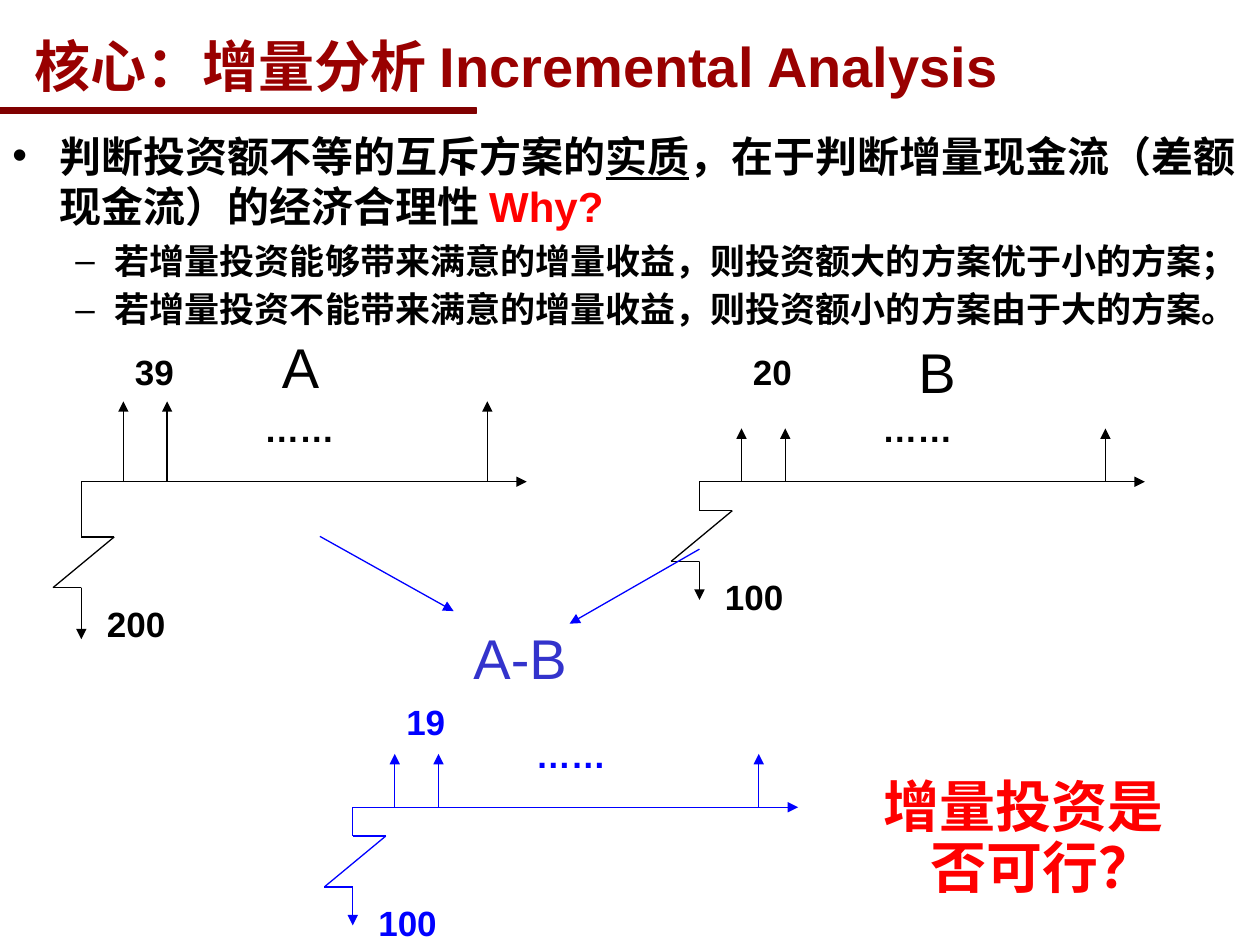
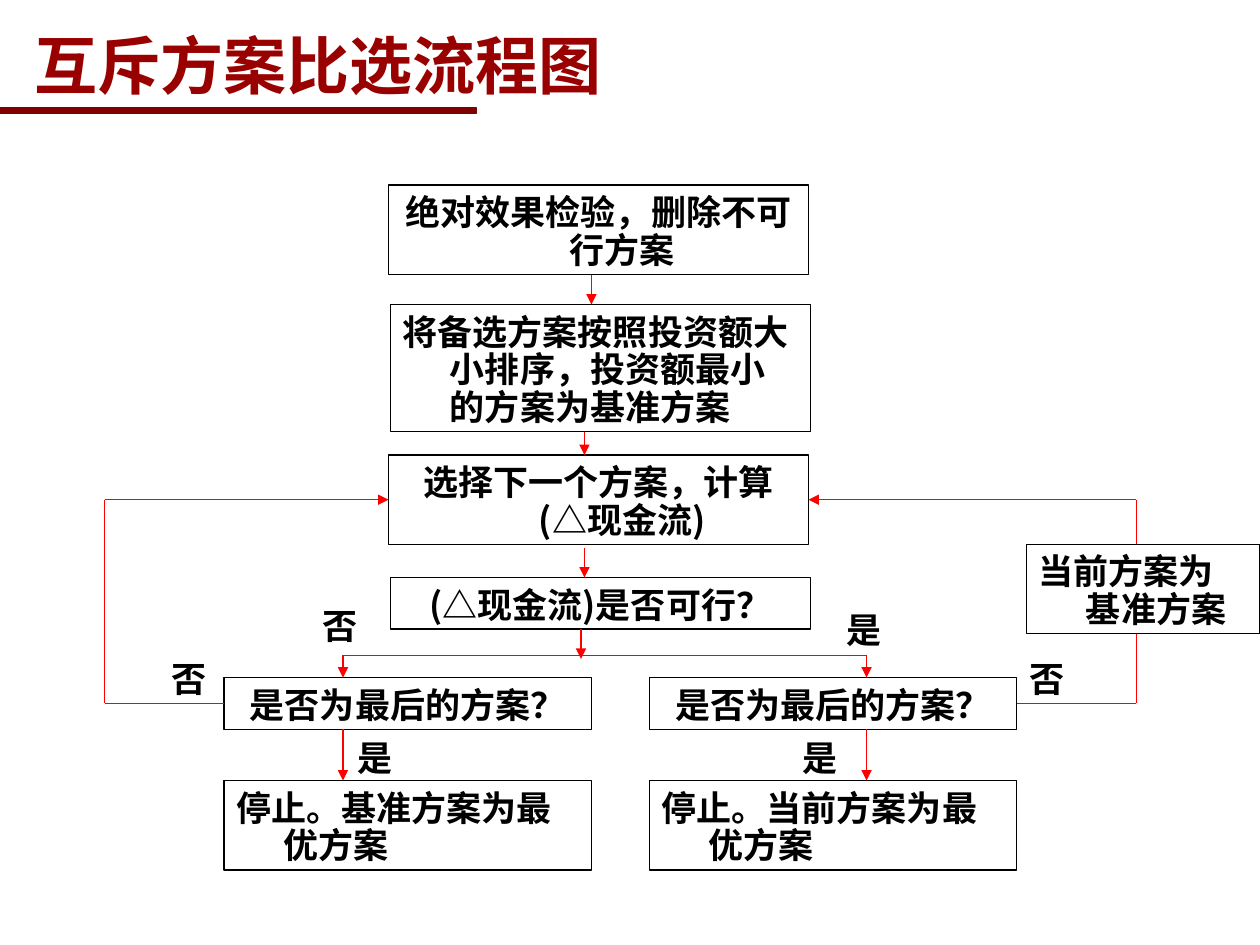
from lxml import etree
from pptx import Presentation
from pptx.dml.color import RGBColor
from pptx.enum.shapes import MSO_CONNECTOR, MSO_SHAPE
from pptx.enum.text import MSO_ANCHOR, PP_ALIGN
from pptx.oxml.ns import qn
from pptx.util import Pt

STRAIGHT = MSO_CONNECTOR.STRAIGHT
RECTANGLE = MSO_SHAPE.RECTANGLE
TOP, MIDDLE = MSO_ANCHOR.TOP, MSO_ANCHOR.MIDDLE
LEFT, CENTER = PP_ALIGN.LEFT, PP_ALIGN.CENTER

COLORS = {
    "white": "FFFFFF", "black": "000000", "band": "800000", "title": "990000",
    "red": "FF0000", "blue": "0000FF", "violet": "3333CC",
}
LATIN, CHINESE = "Arial", "Noto Sans CJK SC"
LINE_WIDTH = 0.75
HANGING = 27
SIDE_LEFT, SIDE_RIGHT = 1, 3


def color(name):
    return RGBColor.from_string(COLORS[name])


def add_box(slide, box, fill=None, line=None):
    shape = slide.shapes.add_shape(RECTANGLE, *[Pt(value) for value in box])
    shape.shadow.inherit = False
    if fill:
        shape.fill.solid()
        shape.fill.fore_color.rgb = color(fill)
    else:
        shape.fill.background()
    if line:
        shape.line.color.rgb = color(line)
        shape.line.width = Pt(LINE_WIDTH)
    else:
        shape.line.fill.background()
    return shape


def set_frame(shape, top=3.6, bottom=3.6, anchor=TOP):
    frame = shape.text_frame
    frame.word_wrap = True
    frame.vertical_anchor = anchor
    frame.margin_left = frame.margin_right = Pt(7.2)
    frame.margin_top, frame.margin_bottom = Pt(top), Pt(bottom)
    return frame


def add_run(paragraph, text, size, ink="black", bold=True, latin=LATIN, underline=False):
    run = paragraph.add_run()
    run.text = text
    font = run.font
    font.size, font.bold, font.name = Pt(size), bold, latin
    font.color.rgb = color(ink)
    if underline:
        font.underline = True
    etree.SubElement(run._r.get_or_add_rPr(), qn("a:ea"), typeface=CHINESE)


def set_indent(paragraph, margin, hanging, bullet=None):
    properties = paragraph._p.get_or_add_pPr()
    properties.set("marL", str(Pt(margin)))
    properties.set("indent", str(-Pt(hanging)))
    if bullet:
        etree.SubElement(properties, qn("a:buFont"), typeface=LATIN)
        etree.SubElement(properties, qn("a:buChar"), char=bullet)


def add_chinese_text(shape, text, size, leading, ink="black", latin=CHINESE, align=LEFT):
    """Fill a shape with hanging text on a fixed line pitch."""
    paragraph = set_frame(shape, top=3.6 + size / 10).paragraphs[0]
    set_indent(paragraph, HANGING, HANGING)
    paragraph.alignment = align
    paragraph.line_spacing = Pt(leading)
    add_run(paragraph, text, size, ink, latin=latin)


def add_label(slide, left, top, text, width=80, size=20, ink="black", bold=True):
    shape = slide.shapes.add_textbox(Pt(left), Pt(top), Pt(width), Pt(size * 1.4))
    paragraph = set_frame(shape).paragraphs[0]
    paragraph.line_spacing = 0.9
    add_run(paragraph, text, size, ink, bold)


def add_line(slide, start, end, ink, arrow=False, begin_at=None, end_at=None):
    """begin_at and end_at are (shape, side) pairs to join the line to."""
    connector = slide.shapes.add_connector(
        STRAIGHT, *[Pt(value) for value in (*start, *end)])
    if begin_at:
        connector.begin_connect(*begin_at)
    if end_at:
        connector.end_connect(*end_at)
    connector.line.color.rgb = color(ink)
    connector.line.width = Pt(LINE_WIDTH)
    if arrow:
        etree.SubElement(connector.line._get_or_add_ln(), qn("a:tailEnd"), type="triangle")
    etree.SubElement(connector._element.spPr, qn("a:effectLst"))


def add_titled_slide(presentation, title, size):
    slide = presentation.slides.add_slide(presentation.slide_layouts[6])
    add_box(slide, (-0.5, 61.5, 272.5, 3.3), "band", "band")
    shape = add_box(slide, (12.5, 13, 643.5, 48), "white")
    paragraph = set_frame(shape, 0, 0, MIDDLE).paragraphs[0]
    paragraph.alignment = LEFT
    add_run(paragraph, title, size, "title")
    return slide


def add_argument(slide, box):
    shape = add_box(slide, box, "white")
    frame = set_frame(shape, top=6.2)
    claim = frame.paragraphs[0]
    set_indent(claim, HANGING, HANGING, "•")
    claim.alignment = LEFT
    claim.line_spacing = Pt(28.6)
    add_run(claim, "判断投资额不等的互斥方案的", 24)
    add_run(claim, "实质", 24, underline=True)
    add_run(claim, "，在于判断增量现金流（差额现金流）的经济合理性 ", 24)
    add_run(claim, "Why?", 24, "red")
    cases = [
        ("若增量投资能够带来满意的增量收益，则投资额大的方案优于小的方案；", 5),
        ("若增量投资不能带来满意的增量收益，则投资额小的方案由于大的方案。", 4),
    ]
    for text, space in cases:
        paragraph = frame.add_paragraph()
        paragraph.level = 1
        set_indent(paragraph, 58.5, 22.5, "–")
        paragraph.alignment = LEFT
        paragraph.line_spacing = Pt(23.9)
        paragraph.space_before = Pt(space)
        add_run(paragraph, text, 20)


def add_cash_flow(slide, left, axis, income, income_rise, label_rise,
                  cost, cost_drop, break_drop, ink="black"):
    """Draw a cash flow diagram whose time axis starts at (left, axis)."""
    add_line(slide, (left, axis), (left + 254.5, axis), ink, True)
    add_line(slide, (left, axis), (left, axis + cost_drop), ink, True)

    break_top, break_bottom = axis + break_drop, axis + break_drop + 29
    add_box(slide, (left - 19.3, break_top, 37.4, 29), "white")
    zigzag = [(left, break_top), (left + 18.8, break_top),
              (left - 16.2, break_bottom), (left, break_bottom)]
    for start, end in zip(zigzag, zigzag[1:]):
        add_line(slide, start, end, ink)

    for offset in (24, 49, 232):
        add_line(slide, (left + offset, axis), (left + offset, axis - income_rise), ink, True)
    add_label(slide, left + 23.5, axis - label_rise, income, ink=ink)
    add_label(slide, left + 97.5, axis - 43, "……", ink=ink)
    add_label(slide, left + 7.5, break_top + 36.5, cost, ink=ink)


def build_incremental_slide(presentation):
    slide = add_titled_slide(presentation, "核心：增量分析 Incremental Analysis", 32)
    add_argument(slide, (0, 68.4, 720, 122.4))
    add_cash_flow(slide, 46.5, 275.3, "39", 46, 76, "200", 90, 31.5)
    add_cash_flow(slide, 399.7, 275.3, "20", 30.5, 76, "100", 67.5, 16.5)
    add_cash_flow(slide, 201.6, 461.3, "19", 30.5, 62, "100", 67.5, 16.5, "blue")
    for left, top, name, ink in [(154, 190.8, "A", "black"), (517.7, 193.7, "B", "black"),
                                 (263.5, 357.1, "A-B", "violet")]:
        add_label(slide, left, top, name, size=32, ink=ink, bold=False)
    add_line(slide, (182.8, 306.5), (259.2, 349.2), "blue", True)
    add_line(slide, (399.7, 313.8), (325.5, 356.4), "blue", True)
    question = add_box(slide, (497.5, 437.8, 190, 76.3))
    add_chinese_text(question, "增量投资是否可行？", 32, 34.7, "red", LATIN)


def add_step(slide, left, top, width, lines, text, align=CENTER):
    shape = add_box(slide, (left, top, width, 7.9 + 21.6 * lines), line="black")
    add_chinese_text(shape, text, 20, 21.6, align=align)
    return shape


def add_answer(slide, left, top, text):
    shape = slide.shapes.add_textbox(Pt(left), Pt(top), Pt(37.5), Pt(28.8))
    add_chinese_text(shape, text, 20, 21.6)


def middle_height(shape):
    return (shape.top + shape.height / 2) / Pt(1)


def build_flowchart_slide(presentation):
    slide = add_titled_slide(presentation, "互斥方案比选流程图", 36)
    main, main_width = 222, 240
    add_step(slide, main, 105.8, main_width, 2, "绝对效果检验，删除不可行方案")
    add_step(slide, main + 1, 174, main_width, 3,
             "将备选方案按照投资额大小排序，投资额最小的方案为基准方案", LEFT)
    select = add_step(slide, main, 260, main_width, 2, "选择下一个方案，计算(△现金流)")
    add_step(slide, main + 1, 330, main_width, 1, "(△现金流)是否可行？")
    rebase = add_step(slide, 586.5, 311, 133.5, 2, "当前方案为基准方案", LEFT)

    for x, top, bottom in [(338, 157, 174), (334, 247, 260), (334, 313, 330), (332, 359.3, 376.5)]:
        add_line(slide, (x, top), (x, bottom), "red", True)

    split, branch_top, stop_top = 374.4, 387.2, 446
    branches = [(128, 196, "停止。基准方案为最优方案"), (371, 495.2, "停止。当前方案为最优方案")]
    checks = []
    for left, x, result in branches:
        checks.append(add_step(slide, left, branch_top, 210, 1, "是否为最后的方案？"))
        add_step(slide, left, stop_top, 210, 2, result, LEFT)
        add_line(slide, (x, split), (x, branch_top), "red", True)
        add_line(slide, (x, 416.7), (x, stop_top), "red", True)
    add_line(slide, (196, split), (495.2, split), "red")

    left_check, right_check = checks
    low, high = middle_height(left_check), middle_height(select)
    outer_left, outer_right = 59.8, 649.3
    add_line(slide, (128, low), (outer_left, low), "red", begin_at=(left_check, SIDE_LEFT))
    add_line(slide, (outer_left, low), (outer_left, high), "red")
    add_line(slide, (outer_left, high), (main, high), "red", True, end_at=(select, SIDE_LEFT))
    add_line(slide, (581, low), (outer_right, low), "red", begin_at=(right_check, SIDE_RIGHT))
    rebase_bottom = (rebase.top + rebase.height) / Pt(1)
    add_line(slide, (outer_right, low), (outer_right, rebase_bottom), "red")
    add_line(slide, (outer_right, 311), (outer_right, high), "red")
    add_line(slide, (outer_right, high), (main + main_width, high), "red", True,
             end_at=(select, SIDE_RIGHT))

    for left, top, text in [(476.6, 344.3, "是"), (177.1, 342, "否"), (90.7, 372.3, "否"),
                            (197.3, 417.6, "是"), (451.4, 417.6, "是"), (581, 372.3, "否")]:
        add_answer(slide, left, top, text)


def main():
    presentation = Presentation()
    presentation.slide_width, presentation.slide_height = Pt(720), Pt(540)
    build_incremental_slide(presentation)
    build_flowchart_slide(presentation)
    presentation.save("out.pptx")


if __name__ == "__main__":
    main()
